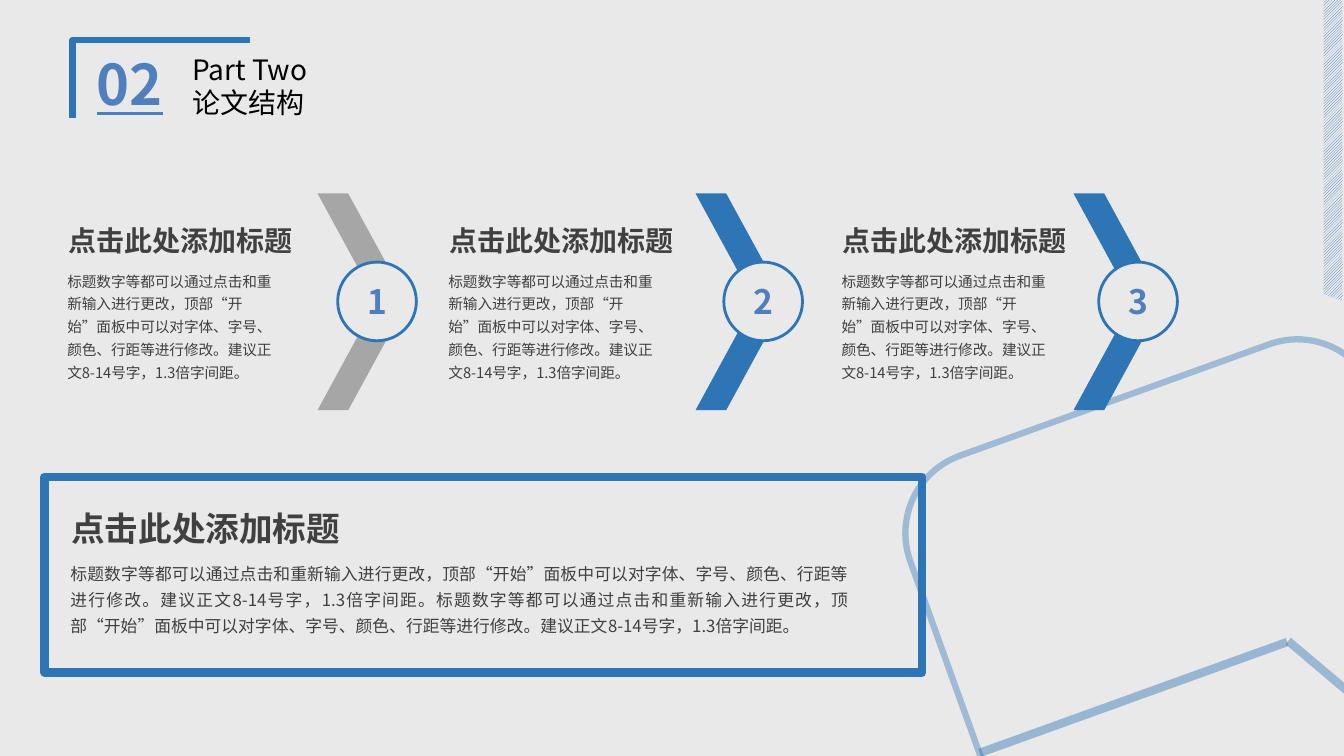
from lxml import etree
from pptx import Presentation
from pptx.dml.color import RGBColor
from pptx.enum.dml import MSO_PATTERN
from pptx.enum.lang import MSO_LANGUAGE_ID
from pptx.enum.shapes import MSO_CONNECTOR, MSO_SHAPE
from pptx.enum.text import MSO_ANCHOR, MSO_AUTO_SIZE, PP_ALIGN
from pptx.oxml.ns import qn
from pptx.util import Pt

CHEVRON, OVAL = MSO_SHAPE.CHEVRON, MSO_SHAPE.OVAL
RECTANGLE, ROUNDED = MSO_SHAPE.RECTANGLE, MSO_SHAPE.ROUNDED_RECTANGLE
STRAIGHT = MSO_CONNECTOR.STRAIGHT
HATCH = MSO_PATTERN.LIGHT_UPWARD_DIAGONAL
CHINESE = MSO_LANGUAGE_ID.SIMPLIFIED_CHINESE
CENTER, JUSTIFY = PP_ALIGN.CENTER, PP_ALIGN.JUSTIFY
MIDDLE, GROW = MSO_ANCHOR.MIDDLE, MSO_AUTO_SIZE.SHAPE_TO_FIT_TEXT

THEME = {
    "font": "Noto Sans CJK SC",
    "paper": RGBColor.from_string("E9E9E9"),
    "blue": RGBColor.from_string("2E75B6"),
    "number": RGBColor.from_string("4F7FBD"),
    "grey": RGBColor.from_string("A6A6A6"),
    "ink": RGBColor.from_string("404040"),
    "black": RGBColor.from_string("000000"),
    "part": 40, "title": 20, "big": 24, "body": 10.5, "long": 12,
}

HEADING = "点击此处添加标题"
BODY = ("标题数字等都可以通过点击和重新输入进行更改，顶部“开始”面板中可以对字体、"
        "字号、颜色、行距等进行修改。建议正文8-14号字，1.3倍字间距。")

deck = Presentation()
deck.slide_width, deck.slide_height = Pt(960), Pt(540)
page = deck.slides.add_slide(deck.slide_layouts[6])
page.background.fill.solid()
page.background.fill.fore_color.rgb = THEME["paper"]


def write(box, lines, size, color, para_format=None, **font_format):
    """Fill a shape's text frame, one paragraph for each line."""
    frame = box.text_frame
    for index, line in enumerate(lines):
        para = frame.add_paragraph() if index else frame.paragraphs[0]
        for name, value in (para_format or {}).items():
            setattr(para, name, value)
        span = para.add_run()
        span.text = line
        values = {"name": THEME["font"], "size": Pt(THEME[size]),
                  "language_id": CHINESE, **font_format}
        for name, value in values.items():
            setattr(span.font, name, value)
        span.font.color.rgb = THEME[color]
        east_asian = etree.SubElement(span.font._element, qn("a:ea"))
        east_asian.set("typeface", THEME["font"])


def paint(shape, fill=None, line=None, width=0, opacity=None):
    """Set fill and outline, and drop the shadow."""
    if hasattr(shape, "fill"):
        shape.shadow.inherit = False
        if fill:
            shape.fill.solid()
            shape.fill.fore_color.rgb = THEME[fill]
        else:
            shape.fill.background()
    else:
        etree.SubElement(shape._element.spPr, qn("a:effectLst"))
    if not line:
        shape.line.fill.background()
        return
    shape.line.color.rgb = THEME[line]
    shape.line.width = Pt(width)
    if opacity:
        color = shape.line._ln.find(".//" + qn("a:srgbClr"))
        etree.SubElement(color, qn("a:alpha")).set("val", str(opacity * 1000))


# Hatched strip at the right edge
builder = page.shapes.build_freeform(Pt(945.5), Pt(0))
builder.add_line_segments([(Pt(959), Pt(0)), (Pt(959), Pt(215)), (Pt(945.5), Pt(210))])
strip = builder.convert_to_shape()
paint(strip)
strip.fill.patterned()
strip.fill.pattern = HATCH
strip.fill.fore_color.rgb = THEME["blue"]
strip.fill.back_color.rgb = THEME["paper"]

# Header bracket
builder = page.shapes.build_freeform(Pt(51.8), Pt(84.2))
builder.add_line_segments([(Pt(51.8), Pt(28.8)), (Pt(178.6), Pt(28.8))], close=False)
paint(builder.convert_to_shape(), line="blue", width=4.5)

# Tilted envelope behind the content
envelope = page.shapes.add_shape(ROUNDED, Pt(661), Pt(301.7), Pt(409), Pt(352.8))
envelope.rotation = 250.2
paint(envelope, "paper", "blue", 4.5, 40)
for start, end, opacity in [((699.8, 537.8), (919.4, 458.6), 43),
                            ((1100.9, 610.6), (920.2, 457.9), 41)]:
    fold = page.shapes.add_connector(STRAIGHT, *map(Pt, start + end))
    paint(fold, line="blue", width=6, opacity=opacity)

# Chevrons with numbered circles
for index, (circle_left, color) in enumerate([(241.2, "grey"), (517, "blue"), (784.8, "blue")]):
    chevron = page.shapes.add_shape(CHEVRON, Pt(226.8 + 270 * index), Pt(138.2), Pt(64.1), Pt(154.8))
    chevron.adjustments[0] = 0.658
    paint(chevron, color)
    circle = page.shapes.add_shape(OVAL, Pt(circle_left), Pt(187.2), Pt(56.2), Pt(56.2))
    paint(circle, "paper", "blue", 2)
    circle.text_frame.vertical_anchor = MIDDLE
    write(circle, [str(index + 1)], "big", "number", {"alignment": CENTER}, bold=True)

# Text: place, wrapping, lines, size, colour, paragraph and font formats
bold = {"bold": True}
spaced = {"line_spacing": 1.3}
texts = [
    ((61.9, 31.7, 68.4, 55.4), True, ["02"], "part", "number", {}, {"bold": True, "underline": True}),
    ((130.3, 33.8, 172.8, 55.4), True, ["Part Two", "论文结构"], "title", "black", {}, {}),
    ((43.9, 359.3, 208.1, 36), False, [HEADING], "big", "ink", {}, bold),
    ((43.2, 394.6, 570.2, 64.1), True, [BODY * 2], "long", "ink", {"alignment": JUSTIFY, **spaced}, {}),
]
for left in (41, 313.2, 594):
    texts += [
        ((left + 0.8, 156.2, 176.4, 31.7), False, [HEADING], "title", "ink", {}, bold),
        ((left, 187.2, 169.2, 90), True, [BODY], "body", "ink", spaced, {}),
    ]
for place, wrap, lines, size, color, para_format, font_format in texts:
    box = page.shapes.add_textbox(*map(Pt, place))
    box.text_frame.word_wrap = wrap
    box.text_frame.auto_size = GROW
    write(box, lines, size, color, para_format, **font_format)

# Frame around the summary
frame = page.shapes.add_shape(RECTANGLE, Pt(31.7), Pt(340.6), Pt(627.1), Pt(139.7))
paint(frame, line="blue", width=6)

deck.save("out.pptx")
